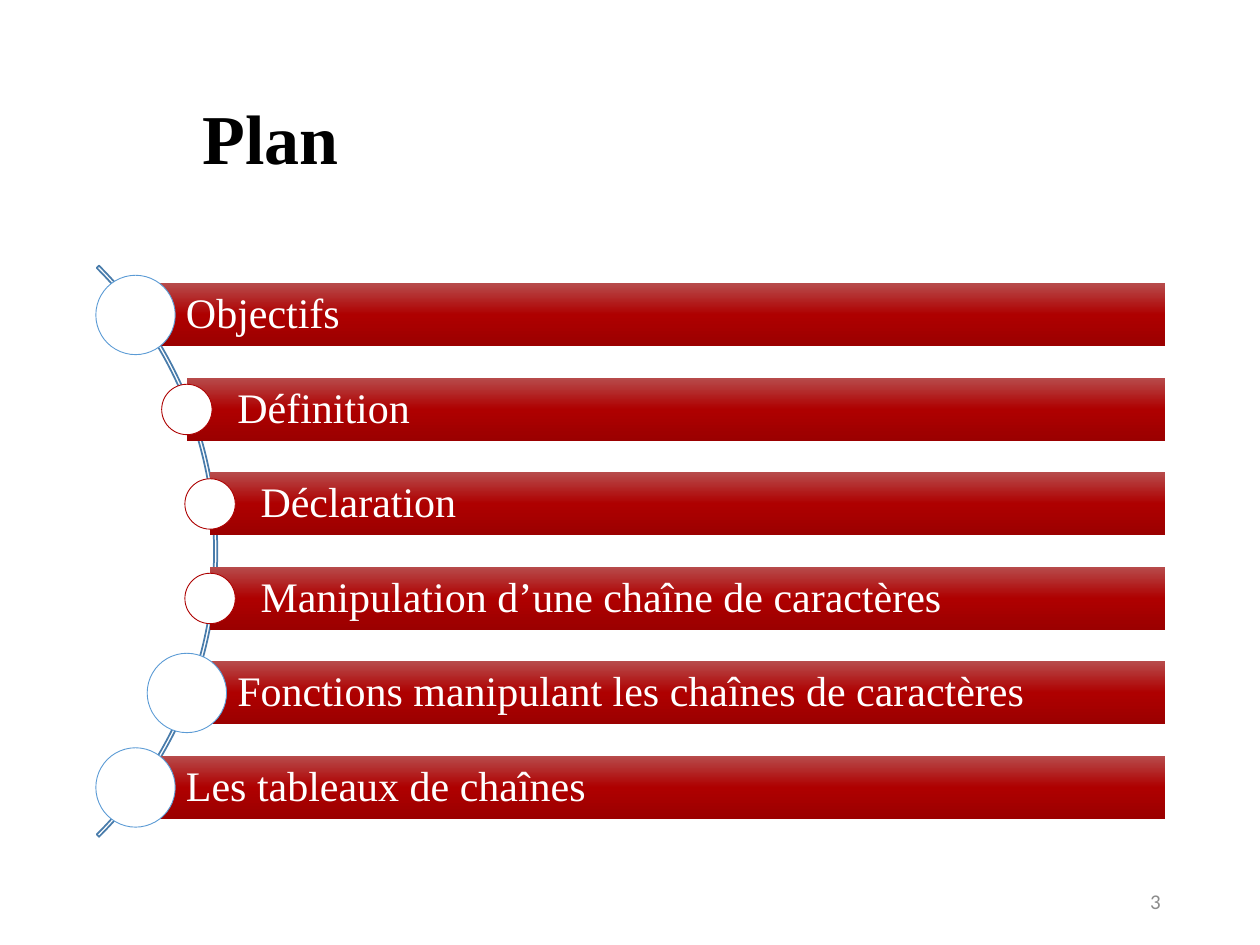
from copy import deepcopy
from dataclasses import dataclass
from math import sqrt

from pptx import Presentation
from pptx.dml.color import RGBColor as RGB
from pptx.enum.shapes import MSO_SHAPE as Shape
from pptx.enum.text import MSO_ANCHOR as Anchor, PP_ALIGN as Align
from pptx.oxml.ns import qn
from pptx.util import Inches, Pt


@dataclass(frozen=True)
class Theme:
    serif: str = "Times New Roman"
    sans: str = "Calibri"
    title: int = 40
    body: int = 24
    small: int = 12
    black: str = "000000"
    white: str = "FFFFFF"
    gray: str = "8C8C8C"
    arc: str = "497CAB"
    blue: str = "5B9BD5"
    red: str = "AD0101"
    bar: tuple = ((0, "B74B4B"), (0.5, "AE0000"), (1, "9B0000"))


THEME = Theme()

# Label, and whether its dot is a large one
ITEMS = [
    ("Objectifs", True),
    ("Définition", False),
    ("Déclaration", False),
    ("Manipulation d’une chaîne de caractères", False),
    ("Fonctions manipulant les chaînes de caractères", True),
    ("Les tableaux de chaînes", True),
]


def write(shape, text, size, color, font, left=0.1, bold=False,
          align=Align.LEFT, space=1.0):
    frame = shape.text_frame
    frame.word_wrap = True
    frame.vertical_anchor = Anchor.MIDDLE
    frame.margin_left = Inches(left)
    frame.text = text
    para = frame.paragraphs[0]
    para.alignment = align
    para.line_spacing = space
    style = para.runs[0].font
    style.name, style.size, style.bold = font, Pt(size), bold
    style.color.rgb = RGB.from_string(color)


def add_form(slide, kind, x, y, w, h, line=None, width=1):
    form = slide.shapes.add_shape(kind, Inches(x), Inches(y), Inches(w), Inches(h))
    form.shadow.inherit = False
    form.fill.background()
    if line:
        form.line.color.rgb = RGB.from_string(line)
        form.line.width = Pt(width)
    else:
        form.line.fill.background()
    return form


def shade(form, stops):
    form.fill.gradient()
    form.fill.gradient_angle = 270
    group = form.element.spPr.find(".//" + qn("a:gsLst"))
    group.append(deepcopy(group[-1]))
    for stop, (place, color) in zip(form.fill.gradient_stops, stops):
        stop.position = place
        stop.color.rgb = RGB.from_string(color)


def add_title(slide, x, y, w, h):
    box = slide.shapes.add_textbox(Inches(x), Inches(y), Inches(w), Inches(h))
    write(box, "Plan", THEME.title, THEME.black, THEME.serif,
          left=0.92, bold=True, space=0.9)


def add_item(slide, x, y, w, h, label, large):
    # Bar with its label
    bar = add_form(slide, Shape.RECTANGLE, x, y, w, h)
    shade(bar, THEME.bar)
    write(bar, label, THEME.body, THEME.white, THEME.serif, left=0.4, space=0.9)

    # Dot centred on the left end of the bar
    size, color = (0.63, THEME.blue) if large else (0.4, THEME.red)
    dot = add_form(slide, Shape.OVAL, x - size / 2, y + (h - size) / 2,
                   size, size, color, 0.5)
    dot.fill.solid()
    dot.fill.fore_color.rgb = RGB.from_string(THEME.white)


def add_plan(slide, x, y, w, h):
    # Arc bulging to the right, centred on the height of the box
    size, mid = 6.41, y + h / 2
    hub = x - 2.17
    arc = add_form(slide, Shape.BLOCK_ARC, hub - size / 2, mid - size / 2,
                   size, size, THEME.arc)
    for i, value in enumerate((189, 27, 0.004)):
        arc.adjustments[i] = value

    # Bars in equal rows, each starting on the curve
    radius, pitch, tall = 3.17, 0.75, 0.5
    for i, (label, large) in enumerate(ITEMS):
        rise = (i - (len(ITEMS) - 1) / 2) * pitch
        left = hub + sqrt(radius ** 2 - rise ** 2)
        add_item(slide, left, mid + rise - tall / 2, x + w - left, tall,
                 label, large)


def add_number(slide, x, y, w, h):
    box = slide.shapes.add_textbox(Inches(x), Inches(y), Inches(w), Inches(h))
    write(box, "3", THEME.small, THEME.gray, THEME.sans, align=Align.RIGHT)


def main():
    deck = Presentation()
    deck.slide_width, deck.slide_height = Inches(10), Inches(7.5)
    slide = deck.slides.add_slide(deck.slide_layouts[6])
    add_title(slide, 0.69, 0.4, 8.62, 1.45)
    add_plan(slide, 0.69, 2, 8.56, 4.75)
    add_number(slide, 7.06, 6.95, 2.25, 0.4)
    deck.save("out.pptx")


if __name__ == "__main__":
    main()
